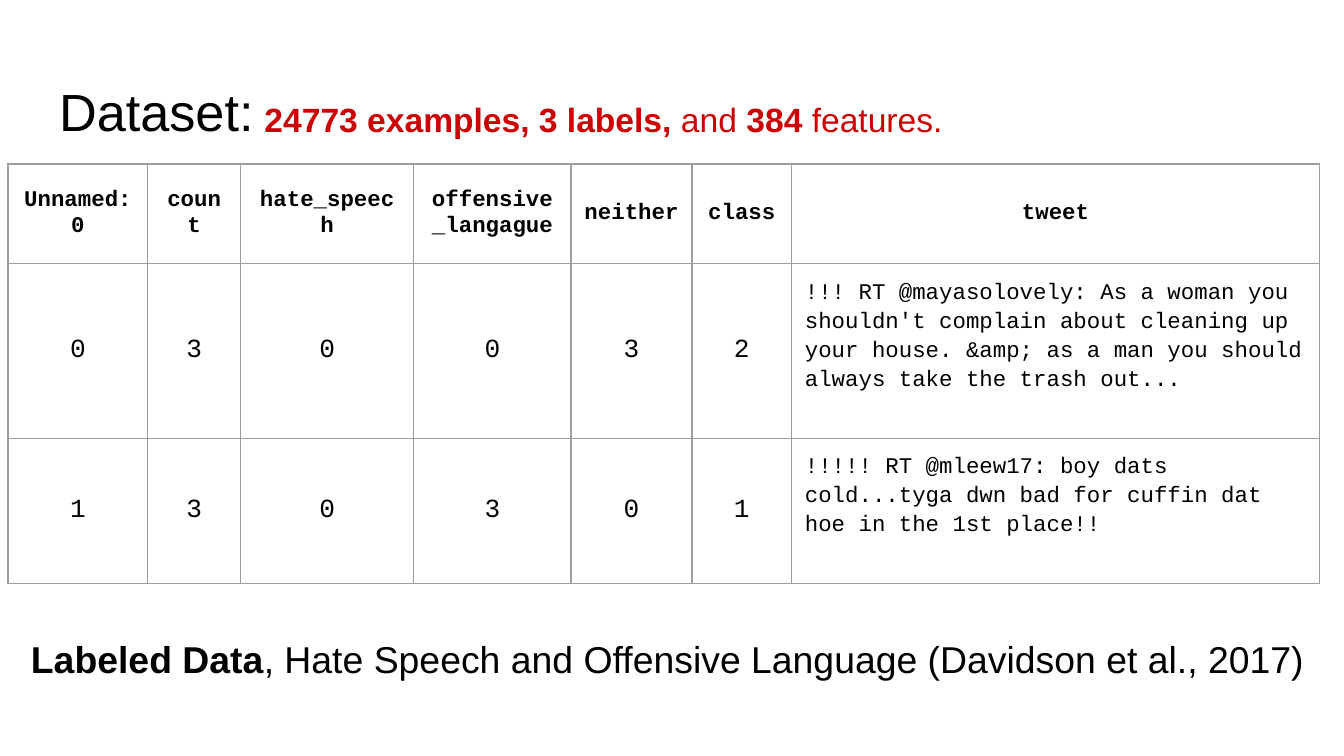
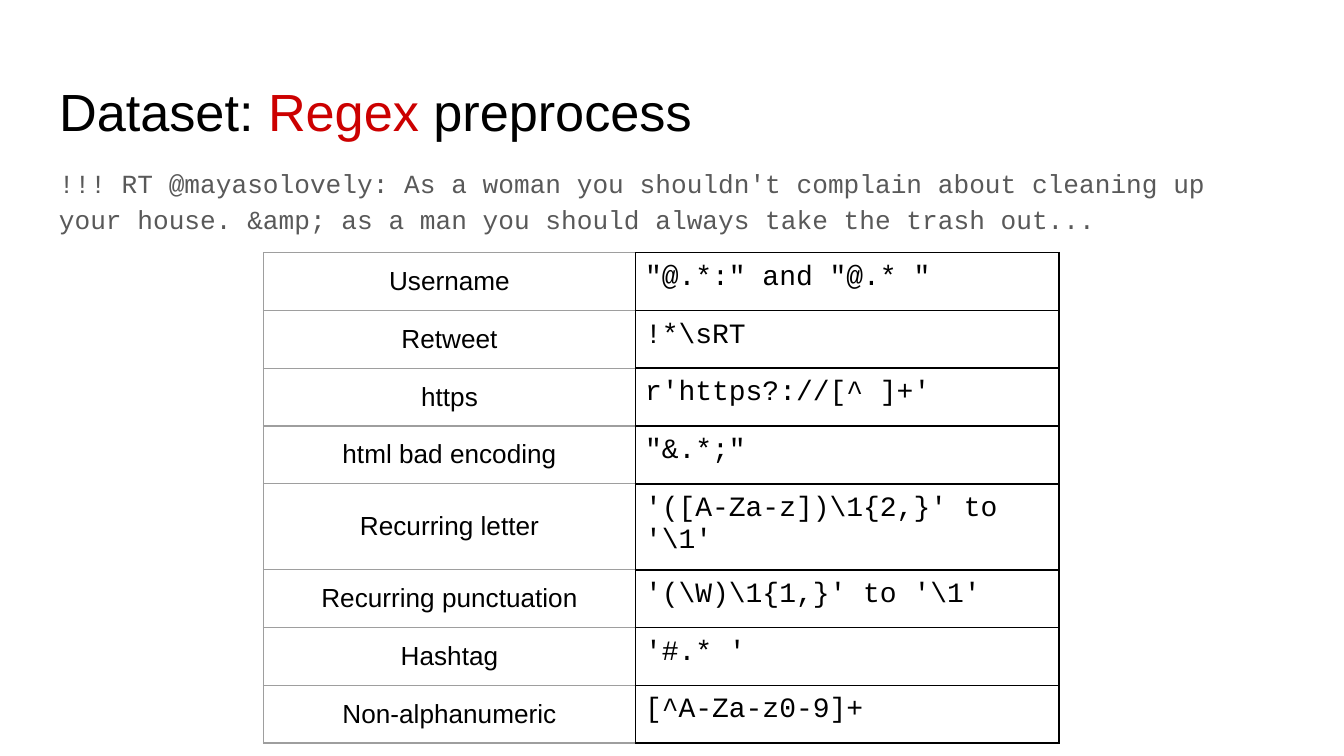
from dataclasses import dataclass, replace
from typing import NamedTuple, Sequence

from lxml import etree
from pptx import Presentation
from pptx.dml.color import RGBColor
from pptx.enum import text as t
from pptx.oxml import ns
from pptx.util import Inches, Pt

COLOURS = {"black": "000000", "red": "CC0000", "grey": "595959", "rule": "9E9E9E"}
SANS, MONO = "Arial", "Courier New"
LEFT, CENTRE = t.PP_ALIGN.LEFT, t.PP_ALIGN.CENTER
TOP, MIDDLE = t.MSO_ANCHOR.TOP, t.MSO_ANCHOR.MIDDLE
SLIDE_WIDTH = Inches(10)
SLIDE_HEIGHT = SLIDE_WIDTH * 9 // 16
TITLE_BOX = (0.34, 0.49, 9.32, 0.63)


@dataclass(frozen=True)
class TextStyle:
    size: int
    face: str = SANS
    colour: str = "black"
    bold: bool = False
    align: int = LEFT
    spacing: float = 1.0


class Span(NamedTuple):
    text: str
    style: TextStyle


class Border(NamedTuple):
    colour: str
    width: float


@dataclass(frozen=True)
class CellStyle:
    text: TextStyle
    left: Border
    right: Border
    top: Border
    bottom: Border
    anchor: int = MIDDLE
    margin: float = 0.1


class Cell(NamedTuple):
    text: str
    style: CellStyle


TITLE = TextStyle(28)
TITLE_RED = replace(TITLE, colour="red")
FACTS = TextStyle(18, colour="red", align=CENTRE, spacing=1.15)
FACTS_BOLD = replace(FACTS, bold=True)
CAPTION = TextStyle(20, align=CENTRE)
SAMPLE = TextStyle(14, MONO, "grey", spacing=1.15)

THIN, BLACK = Border("rule", 0.75), Border("black", 1)
NUMBER = CellStyle(TextStyle(14, MONO, align=CENTRE), THIN, THIN, THIN, THIN)
HEADER = replace(NUMBER, text=TextStyle(12, MONO, bold=True, align=CENTRE))
TWEET = replace(NUMBER, text=TextStyle(12, MONO, spacing=1.15), anchor=TOP)
RULE_NAME = CellStyle(TextStyle(14, align=CENTRE), THIN, BLACK, THIN, THIN)
PATTERN = CellStyle(TextStyle(15, MONO), BLACK, BLACK, BLACK, BLACK, TOP, 0.07)

FIRST_TWEET = (
    "!!! RT @mayasolovely: As a woman you shouldn't complain about cleaning up "
    "your house. &amp; as a man you should always take the trash out..."
)
SECOND_TWEET = (
    "!!!!! RT @mleew17: boy dats cold...tyga dwn bad for cuffin dat hoe in the 1st place!!"
)
COLUMN_NAMES = ["Unnamed:0", "count", "hate_speech", "offensive_langague",
                "neither", "class", "tweet"]
EXAMPLES = [("030032", FIRST_TWEET), ("130301", SECOND_TWEET)]
REGEX_RULES = [
    ("Username", '"@.*:" and "@.* "'),
    ("Retweet", r"!*\sRT"),
    ("https", "r'https?://[^ ]+'"),
    ("html bad encoding", '"&.*;"'),
    ("Recurring letter", r"'([A-Za-z])\1{2,}' to '\1'"),
    ("Recurring punctuation", r"'(\W)\1{1,}' to '\1'"),
    ("Hashtag", "'#.* '"),
    ("Non-alphanumeric", "[^A-Za-z0-9]+"),
]


def set_font(font, style: TextStyle) -> None:
    font.name, font.size, font.bold = style.face, Pt(style.size), style.bold
    font.color.rgb = RGBColor.from_string(COLOURS[style.colour])


def write(frame, spans: Sequence[Span]) -> None:
    """Fill the first paragraph; a single span sets the paragraph font."""
    paragraph = frame.paragraphs[0]
    paragraph.alignment = spans[0].style.align
    paragraph.line_spacing = spans[0].style.spacing
    for span in spans:
        run = paragraph.add_run()
        run.text = span.text
        set_font(paragraph.font if len(spans) == 1 else run.font, span.style)


def set_up_frame(frame) -> None:
    frame.word_wrap = True
    frame.auto_size = t.MSO_AUTO_SIZE.NONE
    frame.vertical_anchor = TOP
    frame.margin_left = frame.margin_right = Inches(0.1)
    frame.margin_top = frame.margin_bottom = Inches(0.1)


def add_text(slide, box: Sequence[float], *spans: Span) -> None:
    shape = slide.shapes.add_textbox(*map(Inches, box))
    set_up_frame(shape.text_frame)
    write(shape.text_frame, spans)


def add_titled_slide(presentation, *spans: Span):
    slide = presentation.slides.add_slide(presentation.slide_layouts.get_by_name("Title Only"))
    title = slide.shapes.title
    title.left, title.top, title.width, title.height = map(Inches, TITLE_BOX)
    set_up_frame(title.text_frame)
    write(title.text_frame, spans)
    return slide


def set_borders(cell, style: CellStyle) -> None:
    properties = cell._tc.get_or_add_tcPr()
    sides = {"a:lnL": style.left, "a:lnR": style.right,
             "a:lnT": style.top, "a:lnB": style.bottom}
    for position, (tag, border) in enumerate(sides.items()):
        line = etree.Element(ns.qn(tag), w=str(Pt(border.width)))
        fill = etree.SubElement(line, ns.qn("a:solidFill"))
        etree.SubElement(fill, ns.qn("a:srgbClr"), val=COLOURS[border.colour])
        properties.insert(position, line)


def fill_cell(cell, content: Cell) -> None:
    style = content.style
    cell.fill.background()
    cell.vertical_anchor = style.anchor
    cell.margin_left = cell.margin_right = Inches(style.margin)
    cell.margin_top = cell.margin_bottom = Inches(style.margin)
    write(cell.text_frame, [Span(content.text, style.text)])
    set_borders(cell, style)


def add_grid(slide, left: float, top: float, widths: Sequence[float],
             heights: Sequence[float], rows: Sequence[Sequence[Cell]]) -> None:
    table = slide.shapes.add_table(
        len(heights), len(widths), Inches(left), Inches(top),
        Inches(sum(widths)), Inches(sum(heights))).table
    table.first_row = table.horz_banding = False
    for column, width in zip(table.columns, widths):
        column.width = Inches(width)
    for row, height, contents in zip(table.rows, heights, rows):
        row.height = Inches(height)
        for cell, content in zip(row.cells, contents):
            fill_cell(cell, content)


def add_dataset_slide(presentation) -> None:
    slide = add_titled_slide(presentation, Span("Dataset:", TITLE))
    rows = [[Cell(name, HEADER) for name in COLUMN_NAMES]]
    for numbers, tweet in EXAMPLES:
        rows.append([Cell(number, NUMBER) for number in numbers] + [Cell(tweet, TWEET)])
    add_grid(slide, 0.06, 1.22, [1.04, 0.69, 1.29, 1.17, 0.9, 0.74, 3.93],
             [0.74, 1.3, 1.08], rows)
    add_text(slide, (0.09, 4.63, 9.76, 0.99),
             Span("Labeled Data", replace(CAPTION, bold=True)),
             Span(", Hate Speech and Offensive Language (Davidson et al., 2017)", CAPTION))
    add_text(slide, (1.79, 0.59, 5.47, 0.79),
             Span("24773 examples, 3 labels, ", FACTS_BOLD), Span("and ", FACTS),
             Span("384 ", FACTS_BOLD), Span("features. ", FACTS))


def add_regex_slide(presentation) -> None:
    slide = add_titled_slide(presentation, Span("Dataset: ", TITLE),
                             Span("Regex", TITLE_RED), Span(" preprocess", TITLE))
    add_text(slide, (0.34, 1.11, 9.32, 0.71), Span(FIRST_TWEET, SAMPLE))
    rows = [[Cell(name, RULE_NAME), Cell(pattern, PATTERN)] for name, pattern in REGEX_RULES]
    heights = [0.64 if name == "Recurring letter" else 0.43 for name, _ in REGEX_RULES]
    add_grid(slide, 1.96, 1.88, [2.77, 3.15], heights, rows)


def main() -> None:
    presentation = Presentation()
    presentation.slide_width, presentation.slide_height = SLIDE_WIDTH, SLIDE_HEIGHT
    add_dataset_slide(presentation)
    add_regex_slide(presentation)
    presentation.save("out.pptx")


if __name__ == "__main__":
    main()
